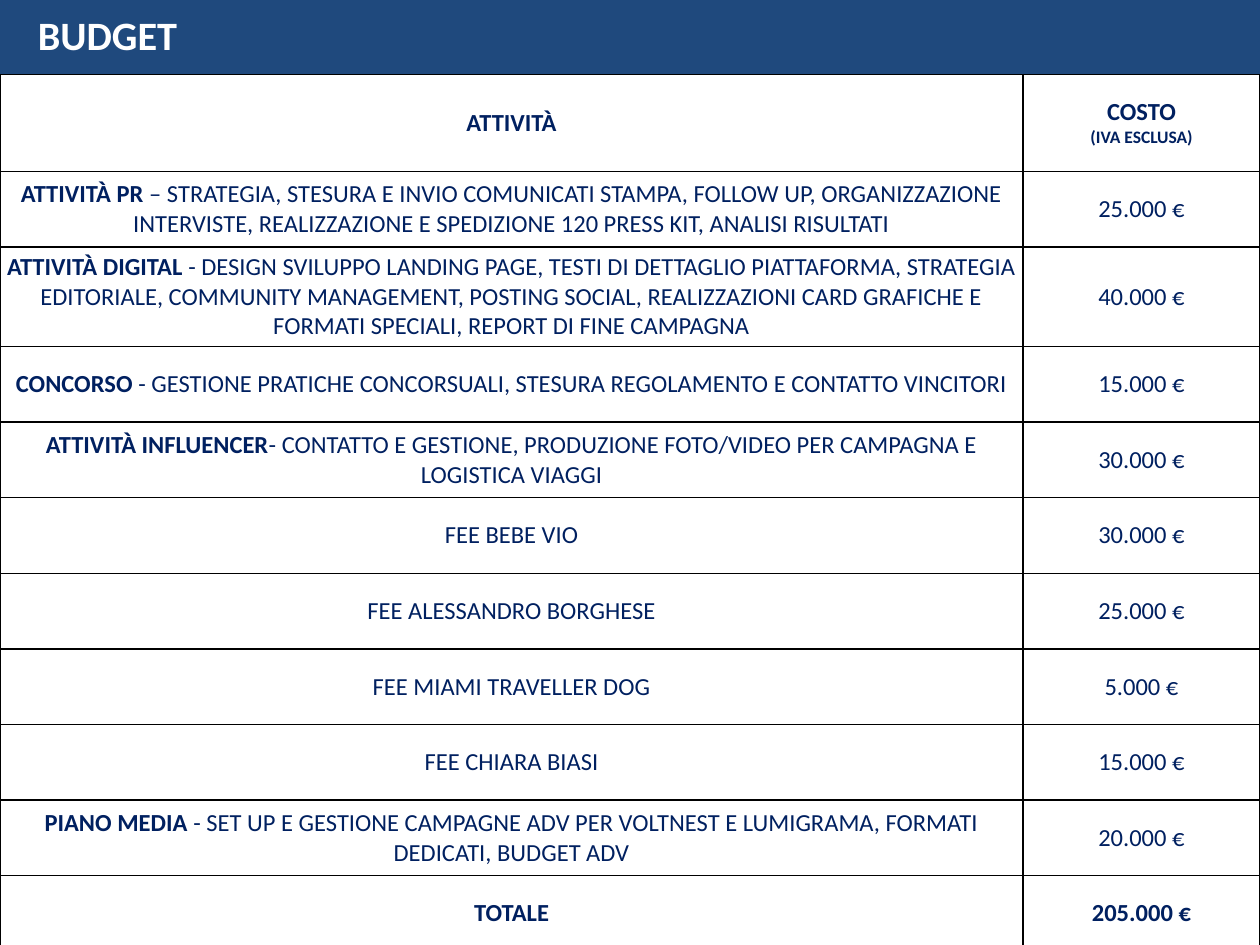
"""Build the campaign budget slide."""
from dataclasses import dataclass

from lxml import etree
from pptx import Presentation
from pptx.dml.color import RGBColor
from pptx.enum.shapes import MSO_SHAPE
from pptx.enum.text import MSO_ANCHOR, PP_ALIGN
from pptx.oxml.ns import qn
from pptx.util import Inches, Pt

RECTANGLE = MSO_SHAPE.RECTANGLE
MIDDLE = MSO_ANCHOR.MIDDLE
LEFT, CENTER = PP_ALIGN.LEFT, PP_ALIGN.CENTER
TITLE_ONLY = 5


@dataclass(frozen=True)
class Theme:
    """Colours, font and type sizes of the deck."""
    font: str = "Calibri"
    bar: str = "1F497D"
    text: str = "002060"
    white: str = "FFFFFF"
    border: str = "000000"
    title_size: int = 23
    body_size: int = 14
    note_size: int = 10
    border_width: float = 1


HEADER_HEIGHT, ROW_HEIGHT, TALL_HEIGHT = 0.77, 0.6, 0.75
TALL_ROW = 2
COLUMN_WIDTHS = (8.12, 1.88)
COSTS = [
    ("ATTIVITÀ PR ", "– STRATEGIA, STESURA E INVIO COMUNICATI STAMPA, FOLLOW UP, "
     "ORGANIZZAZIONE INTERVISTE, REALIZZAZIONE E SPEDIZIONE 120 PRESS KIT, "
     "ANALISI RISULTATI", "25.000 €"),
    ("ATTIVITÀ DIGITAL ", "- DESIGN SVILUPPO LANDING PAGE, TESTI DI DETTAGLIO "
     "PIATTAFORMA, STRATEGIA EDITORIALE, COMMUNITY MANAGEMENT, POSTING SOCIAL, "
     "REALIZZAZIONI CARD GRAFICHE E FORMATI SPECIALI, REPORT DI FINE CAMPAGNA",
     "40.000 €"),
    ("CONCORSO", " - GESTIONE PRATICHE CONCORSUALI, STESURA REGOLAMENTO E "
     "CONTATTO VINCITORI", "15.000 €"),
    ("ATTIVITÀ INFLUENCER", "- CONTATTO E GESTIONE, PRODUZIONE FOTO/VIDEO PER "
     "CAMPAGNA E LOGISTICA VIAGGI", "30.000 €"),
    ("", "FEE BEBE VIO", "30.000 €"),
    ("", "FEE ALESSANDRO BORGHESE", "25.000 €"),
    ("", "FEE MIAMI TRAVELLER DOG", "5.000 €"),
    ("", "FEE CHIARA BIASI", "15.000 €"),
    ("PIANO MEDIA ", "- SET UP E GESTIONE CAMPAGNE ADV PER VOLTNEST E LUMIGRAMA, "
     "FORMATI DEDICATI, BUDGET ADV", "20.000 €"),
]


class SlideBuilder:
    """Hold the theme and the current slide, and add elements to it."""

    def __init__(self, prs, theme):
        self.theme = theme
        self.s = prs.slides.add_slide(prs.slide_layouts[TITLE_ONLY])

    def style(self, r, size, color, bold):
        r.font.name = self.theme.font
        r.font.size = Pt(size)
        r.font.bold = bold
        r.font.color.rgb = RGBColor.from_string(color)

    def bar(self, x, y, w, h):
        sp = self.s.shapes.add_shape(RECTANGLE, Inches(x), Inches(y), Inches(w), Inches(h))
        sp.shadow.inherit = False
        sp.fill.solid()
        sp.fill.fore_color.rgb = RGBColor.from_string(self.theme.bar)
        sp.line.fill.background()

    def title(self, text, x, y, w, h):
        sp = self.s.shapes.title
        sp.left, sp.top, sp.width, sp.height = map(Inches, (x, y, w, h))
        self.s.shapes._spTree.append(sp._element)
        tf = sp.text_frame
        tf.text = text
        tf.vertical_anchor = MIDDLE
        p = tf.paragraphs[0]
        p.alignment = LEFT
        self.style(p.runs[0], self.theme.title_size, self.theme.white, True)

    def table(self, rows, heights, widths, x, y):
        frame = self.s.shapes.add_table(len(rows), len(widths), Inches(x), Inches(y),
                                        Inches(sum(widths)), Inches(sum(heights)))
        table = frame.table
        table.first_row = table.horz_banding = False
        for column, width in zip(table.columns, widths):
            column.width = Inches(width)
        for row, height, contents in zip(table.rows, heights, rows):
            row.height = Inches(height)
            for cell, paragraphs in zip(row.cells, contents):
                self.cell(cell, paragraphs)

    def cell(self, cell, paragraphs):
        cell.margin_left = cell.margin_right = Inches(0.04)
        cell.margin_top = cell.margin_bottom = Inches(0.04)
        cell.vertical_anchor = MIDDLE
        cell.fill.solid()
        cell.fill.fore_color.rgb = RGBColor.from_string(self.theme.white)
        self.borders(cell)
        tf = cell.text_frame
        for i, runs in enumerate(paragraphs):
            p = tf.add_paragraph() if i else tf.paragraphs[0]
            p.alignment = CENTER
            for text, size, bold in runs:
                r = p.add_run()
                r.text = text
                self.style(r, size, self.theme.text, bold)

    def borders(self, cell):
        tc_pr = cell._tc.get_or_add_tcPr()
        for i, side in enumerate(("lnL", "lnR", "lnT", "lnB")):
            ln = etree.Element(qn(f"a:{side}"), w=str(Pt(self.theme.border_width)))
            fill = etree.SubElement(ln, qn("a:solidFill"))
            etree.SubElement(fill, qn("a:srgbClr"), val=self.theme.border)
            tc_pr.insert(i, ln)


def budget_rows(theme):
    """Return each row as cells of paragraphs of (text, size, bold) runs."""
    size = theme.body_size
    header = ([[("ATTIVITÀ", size, True)]],
              [[("COSTO", size, True)], [("(IVA ESCLUSA)", theme.note_size, True)]])
    rows = [header]
    for label, detail, cost in COSTS:
        runs = [(label, size, True)] if label else []
        rows.append(([runs + [(detail, size, False)]], [[(cost, size, False)]]))
    rows.append(([[("TOTALE", size, True)]], [[("205.000 €", size, True)]]))
    return rows


def main():
    prs = Presentation()
    prs.slide_width, prs.slide_height = Inches(10), Inches(7.5)
    theme = Theme()
    slide = SlideBuilder(prs, theme)
    rows = budget_rows(theme)
    heights = [HEADER_HEIGHT] + [ROW_HEIGHT] * (len(rows) - 1)
    heights[TALL_ROW] = TALL_HEIGHT
    slide.bar(0, -0.04, 10, 0.64)
    slide.table(rows, heights, COLUMN_WIDTHS, 0, 0.59)
    slide.title("BUDGET", 0.2, 0.03, 2.85, 0.49)
    prs.save("out.pptx")


if __name__ == "__main__":
    main()
